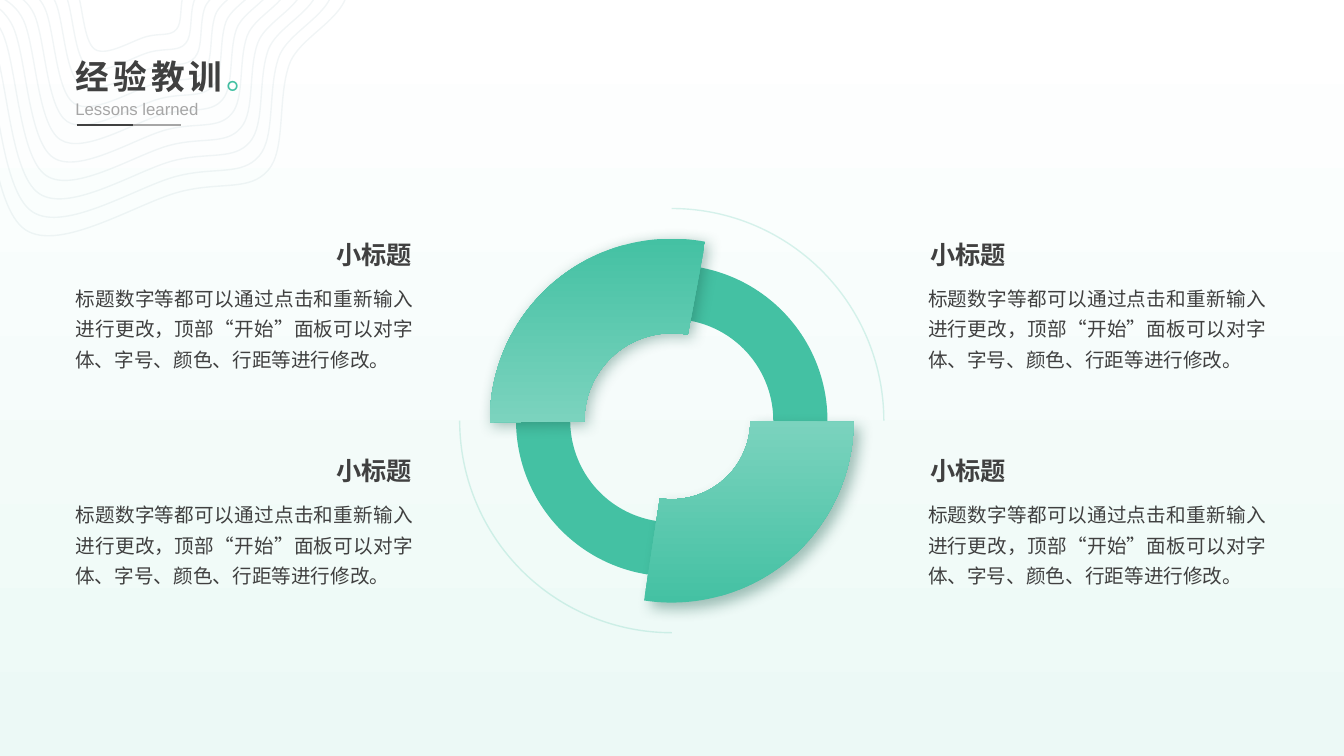
"""Build the "lessons learned" slide with a four-part ring."""
import pptx
import pptx.util
import pptx.dml.color
import pptx.enum.shapes
import pptx.enum.text
import pptx.oxml
import pptx.oxml.ns

Cm, Pt = pptx.util.Cm, pptx.util.Pt
RGBColor = pptx.dml.color.RGBColor
SHAPE = pptx.enum.shapes.MSO_SHAPE
ALIGN = pptx.enum.text.PP_ALIGN
ANCHOR = pptx.enum.text.MSO_ANCHOR
qn = pptx.oxml.ns.qn

GREEN = RGBColor(0x44, 0xC1, 0xA3)
PALE_GREEN = RGBColor(0xB4, 0xE6, 0xDA)
MIST = RGBColor(0xEC, 0xF9, 0xF6)
WHITE = RGBColor(0xFF, 0xFF, 0xFF)
TEAL = RGBColor(0x1E, 0x5E, 0x70)
DARK = RGBColor(0x40, 0x40, 0x40)
GREY = RGBColor(0xA6, 0xA6, 0xA6)
CJK = "Noto Sans CJK SC"
BODY = "标题数字等都可以通过点击和重新输入进行更改，顶部“开始”面板可以对字体、字号、颜色、行距等进行修改。"


def add_run(p, text, size, color, bold=False, font="Arial", lang="zh-CN"):
    r = p.add_run()
    r.text = text
    r.font.size, r.font.bold, r.font.name = Pt(size), bold, font
    r.font.color.rgb = color
    rPr = r.font._element
    rPr.set("lang", lang)
    rPr.append(pptx.oxml.parse_xml(
        f'<a:ea {pptx.oxml.ns.nsdecls("a")} typeface="{CJK}"/>'))
    return r


def outline(sp, color, opacity):
    sp.fill.background()
    sp.line.color.rgb = color
    sp.line.width = Pt(1)
    sp.shadow.inherit = False
    clr = sp._element.spPr.find(".//" + qn("a:srgbClr"))
    alpha = clr.makeelement(qn("a:alpha"), {"val": str(opacity * 1000)})
    clr.append(alpha)


prs = pptx.Presentation()
prs.slide_width, prs.slide_height = Cm(33.87), Cm(19.05)
s = prs.slides.add_slide(prs.slide_layouts[5])

fill = s.background.fill
fill.gradient()
fill.gradient_angle = 270
for stop, color in zip(fill.gradient_stops, (WHITE, MIST)):
    stop.color.rgb = color

contour = [
    (4.55, 4.83), (3.53, 5.08), (1.52, 6.38), (0.64, 5.79), (-0.23, 5.21),
    (-0.28, 2.31), (-0.74, 1.3), (-1.22, 0.28), (-2.08, 0.51), (-2.16, -0.36),
    (-2.26, -1.22), (-2.13, -3.05), (-1.27, -3.89), (-0.43, -4.75),
    (1.3, -5.99), (2.92, -5.49), (4.57, -4.98), (7.87, -2.08), (8.59, -0.89),
    (9.32, 0.3), (7.59, 0.76), (7.29, 1.63), (6.99, 2.49), (7.21, 3.78),
    (6.76, 4.29), (6.3, 4.83), (5.56, 4.57), (4.55, 4.83)]
CENTER_X, CENTER_Y = 3.28, -1.06
for ring in range(11):
    scale = 1 - ring * 0.664 / 10
    points = [(Cm(CENTER_X + scale * (x - CENTER_X)),
               Cm(CENTER_Y + scale * (y - CENTER_Y))) for x, y in contour]
    builder = s.shapes.build_freeform(*points[0])
    builder.add_line_segments(points[3::3], close=True)
    sp = builder.convert_to_shape()
    for i, segment in enumerate(sp._element.spPr.findall(".//" + qn("a:lnTo"))):
        bezier = segment.makeelement(qn("a:cubicBezTo"), {})
        for x, y in points[3 * i + 1:3 * i + 4]:
            bezier.append(bezier.makeelement(
                qn("a:pt"), {"x": str(x - sp.left), "y": str(y - sp.top)}))
        segment.getparent().replace(segment, bezier)
    outline(sp, TEAL, 5)

for end, color in ((4.57, GREY), (3.35, DARK)):
    line = s.shapes.add_connector(
        pptx.enum.shapes.MSO_CONNECTOR.STRAIGHT, Cm(1.93), Cm(3.15), Cm(end), Cm(3.15))
    line.line.color.rgb = color
    line.line.width = Pt(1)
    spPr = line._element.spPr
    spPr.append(spPr.makeelement(qn("a:effectLst"), {}))

title = s.shapes.title
title.left, title.top, title.width, title.height = Cm(1.65), Cm(1.4), Cm(5.33), Cm(1.17)
tf = title.text_frame
tf.word_wrap = False
tf.auto_size = pptx.enum.text.MSO_AUTO_SIZE.NONE
tf.vertical_anchor = ANCHOR.MIDDLE
p = tf.paragraphs[0]
p.alignment = ALIGN.LEFT
p.line_spacing = 0.9
for text, color, bold, font in (("经验教训", DARK, True, "Arial"), ("。", GREEN, False, CJK)):
    r = add_run(p, text, 24, color, bold, font)
    r.font._element.set("spc", "300")

tf = s.shapes.add_textbox(Cm(1.65), Cm(2.36), Cm(3.63), Cm(0.76)).text_frame
tf.word_wrap = False
tf.vertical_anchor = ANCHOR.MIDDLE
add_run(tf.paragraphs[0], "Lessons learned", 12, GREY, lang="en-US")

RING_X, RING_Y = 16.93, 10.6
segments = [
    (7.85, "V", (107.68, 161.88, 0.174), 0),
    (7.85, "H", (107.68, 161.88, 0.174), 0),
    (9.17, "", (107.68, 168.36, 0.26), 3),
    (9.17, "HV", (108.21, 167.24, 0.284), 6)]
for size, flips, adjustments, shadow in segments:
    sp = s.shapes.add_shape(SHAPE.BLOCK_ARC, Cm(RING_X - size / 2),
                            Cm(RING_Y - size / 2), Cm(size), Cm(size))
    for i, value in enumerate(adjustments):
        sp.adjustments[i] = value
    for flip in flips:
        sp._element.spPr.xfrm.set("flip" + flip, "1")
    sp.line.fill.background()
    sp.shadow.inherit = False
    if not shadow:
        sp.fill.solid()
        sp.fill.fore_color.rgb = GREEN
        continue
    sp.fill.gradient()
    sp.fill.gradient_angle = 270
    for stop, color in zip(sp.fill.gradient_stops, (GREEN, PALE_GREEN)):
        stop.color.rgb = color
    sp._element.spPr.find(qn("a:effectLst")).append(pptx.oxml.parse_xml(
        f'<a:outerShdw {pptx.oxml.ns.nsdecls("a")} blurRad="{Pt(10)}" dist="{Pt(shadow)}" '
        'dir="2700000" algn="tl" rotWithShape="0"><a:srgbClr val="206252">'
        '<a:alpha val="40000"/></a:srgbClr></a:outerShdw>'))

ARC = 10.69
for flips in ("", "HV"):
    sp = s.shapes.add_shape(SHAPE.ARC, Cm(RING_X - ARC / 2), Cm(RING_Y - ARC / 2),
                            Cm(ARC), Cm(ARC))
    for flip in flips:
        sp._element.spPr.xfrm.set("flip" + flip, "1")
    outline(sp, GREEN, 20)

for body_x, heading_x in ((23.14, 23.19), (1.65, 8.23)):
    for top in (5.89, 11.35):
        tf = s.shapes.add_textbox(Cm(body_x), Cm(top + 1.03), Cm(9.02), Cm(2.51)).text_frame
        tf.word_wrap = True
        p = tf.paragraphs[0]
        p.alignment = ALIGN.JUSTIFY
        p.line_spacing = Pt(21.8)
        add_run(p, BODY, 14, DARK)
        tf = s.shapes.add_textbox(Cm(heading_x), Cm(top), Cm(2.44), Cm(1.02)).text_frame
        tf.word_wrap = False
        tf.vertical_anchor = ANCHOR.MIDDLE
        add_run(tf.paragraphs[0], "小标题", 18, DARK, True)

prs.save("out.pptx")
